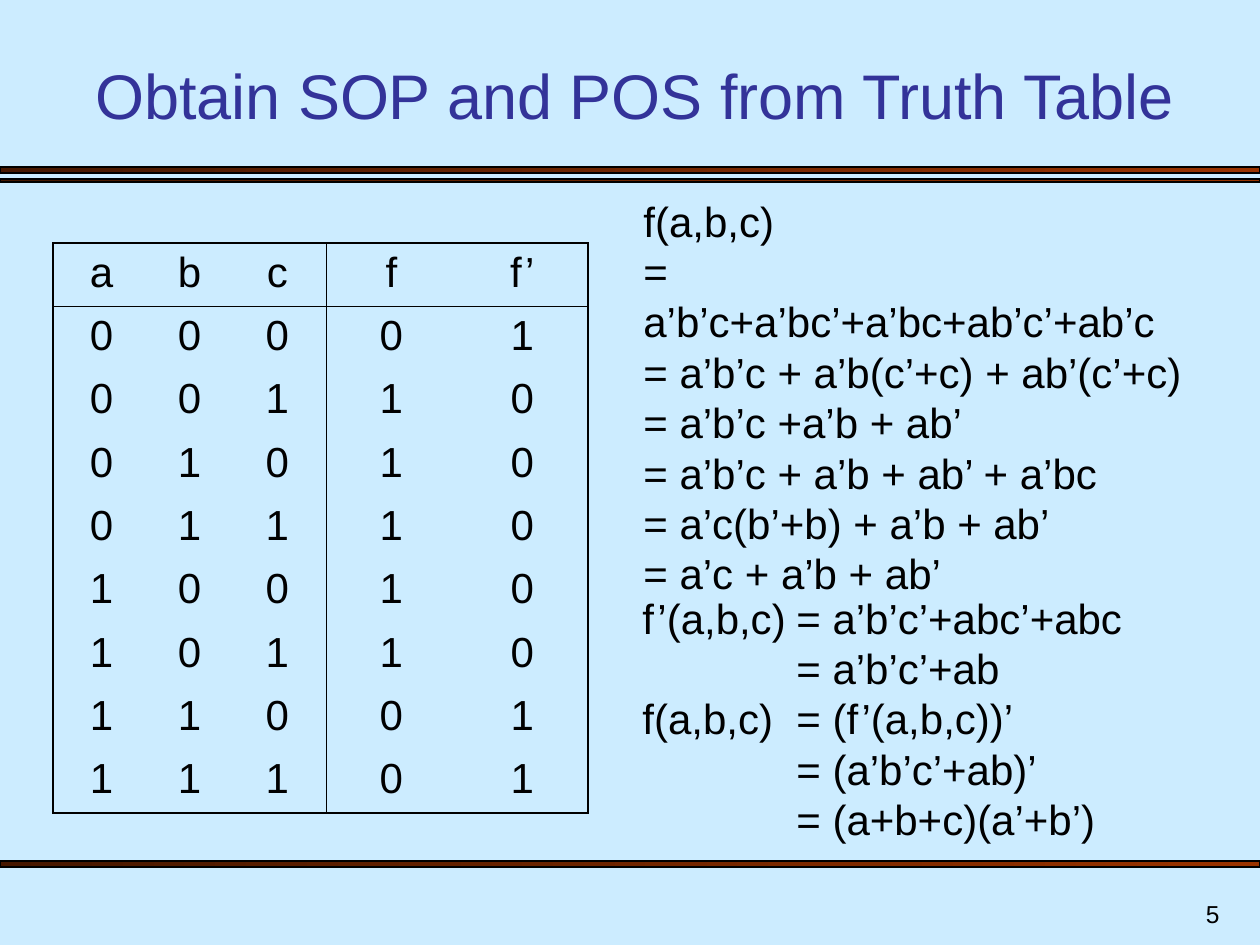
from lxml import etree
from pptx import Presentation
from pptx.dml.color import RGBColor
from pptx.enum.shapes import MSO_SHAPE
from pptx.enum.text import MSO_ANCHOR, MSO_AUTO_SIZE, PP_ALIGN
from pptx.oxml.ns import qn
from pptx.util import Pt

PX = 914400 / 126
BLACK, NAVY, SKY = "000000", "333399", "CCECFF"
RUST, DARK_BROWN = "993300", "461700"
LEFT, CENTER, RIGHT = PP_ALIGN.LEFT, PP_ALIGN.CENTER, PP_ALIGN.RIGHT
TOP, BOTTOM = MSO_ANCHOR.TOP, MSO_ANCHOR.BOTTOM
FIXED, GROW = MSO_AUTO_SIZE.NONE, MSO_AUTO_SIZE.SHAPE_TO_FIT_TEXT
NO_GRID_STYLE = "{2D5ABB26-0587-4C30-8999-92F81FD0307C}"
THICK, THIN = Pt(1.08), Pt(0.45)
TAB_STOP = 154


def px(*lengths):
    """Turn px into EMU."""
    return [round(length * PX) for length in lengths]


def write(paragraph, text, size=24, color=BLACK, align=LEFT):
    """Fill a paragraph; "|" separates runs, and a run of one space is narrow."""
    paragraph.alignment = align
    for piece in text.split("|"):
        run = paragraph.add_run()
        run.text = piece
        font_format = {"name": "Arial", "size": Pt(7 if piece == " " else size)}
        for name, value in font_format.items():
            setattr(run.font, name, value)
        run.font.color.rgb = RGBColor.from_string(color)


presentation = Presentation()
presentation.slide_width, presentation.slide_height = px(1260, 945)
slide = presentation.slides.add_slide(presentation.slide_layouts[5])
slide.background.fill.solid()
slide.background.fill.fore_color.rgb = RGBColor.from_string(SKY)

# Rules across the slide
for top, height in [(167, 6), (179, 3), (861, 6)]:
    rule = slide.shapes.add_shape(MSO_SHAPE.RECTANGLE, *px(0, top, 1260, height))
    rule.shadow.inherit = False
    rule.fill.gradient()
    rule.fill.gradient_angle = 180
    for stop, color in zip(rule.fill.gradient_stops, (RUST, DARK_BROWN)):
        stop.color.rgb = RGBColor.from_string(color)
    rule.line.color.rgb = RGBColor.from_string(BLACK)
    rule.line.width = Pt(0.75)

# Title
title = slide.shapes.title
title.left, title.top, title.width, title.height = px(73, 53, 1124, 85)
title.text_frame.auto_size = FIXED
title.text_frame.vertical_anchor = BOTTOM
write(title.text_frame.paragraphs[0], "Obtain SOP and POS from Truth Table",
      36, NAVY, CENTER)

# Truth table: the inputs count up in binary
column_widths = [97, 79, 97, 131, 131]
outputs = "01111100"
rows = [["a", "b", "c", "f", "f| |’"]]
for number, output in enumerate(outputs):
    rows.append([*f"{number:03b}", output, str(1 - int(output))])
last_row, last_column = len(rows) - 1, len(column_widths) - 1

frame = slide.shapes.add_table(len(rows), len(column_widths),
                               *px(53, 243, sum(column_widths), 570))
table = frame.table
table.first_row = table.horz_banding = False
table._tbl.tblPr.find(qn("a:tableStyleId")).text = NO_GRID_STYLE
for column, width in zip(table.columns, px(*column_widths)):
    column.width = width

for r, row in enumerate(rows):
    for c, text in enumerate(row):
        cell = table.cell(r, c)
        paragraph = cell.text_frame.paragraphs[0]
        paragraph.space_before = Pt(6)
        write(paragraph, text, align=CENTER)
        cell.fill.background()
        borders = {
            "a:lnL": {0: THICK, 3: THIN}.get(c),
            "a:lnR": {2: THIN, last_column: THICK}.get(c),
            "a:lnT": {0: THICK, 1: THIN}.get(r),
            "a:lnB": {0: THIN, last_row: THICK}.get(r),
        }
        for position, (tag, width) in enumerate(borders.items()):
            line = etree.Element(qn(tag), w=str(width or 0))
            if width:
                fill = etree.SubElement(line, qn("a:solidFill"))
                etree.SubElement(fill, qn("a:srgbClr"), val=BLACK)
            else:
                etree.SubElement(line, qn("a:noFill"))
            cell._tc.get_or_add_tcPr().insert(position, line)

# Derivations and page number
sop_lines = [
    "f(a,b,c)",
    "= a’b’c+a’bc’+a’bc+ab’c’+ab’c",
    "= a’b’c + a’b(c’+c) + ab’(c’+c)",
    "= a’b’c +a’b + ab’",
    "= a’b’c + a’b + ab’ + a’bc",
    "= a’c(b’+b) + a’b + ab’",
    "= a’c + a’b + ab’",
]
pos_lines = [
    "f| |’(a,b,c)\t= a’b’c’+abc’+abc",
    "\t= a’b’c’+ab",
    "f(a,b,c)\t= (f| |’(a,b,c))’",
    "\t= (a’b’c’+ab)’",
    "\t= (a+b+c)(a’+b’)",
]
text_boxes = [
    ((631, 189, 572, 365), sop_lines, 24, LEFT,
     {"word_wrap": False, "auto_size": GROW, "vertical_anchor": TOP}),
    ((630, 586, 547, 265), pos_lines, 24, LEFT,
     {"word_wrap": True, "auto_size": GROW, "vertical_anchor": TOP}),
    ((970, 882, 262, 53), ["5"], 14, RIGHT,
     {"word_wrap": True, "auto_size": FIXED, "vertical_anchor": BOTTOM}),
]
for box, lines, size, align, frame_format in text_boxes:
    text_frame = slide.shapes.add_textbox(*px(*box)).text_frame
    for name, value in frame_format.items():
        setattr(text_frame, name, value)
    for index, text in enumerate(lines):
        paragraph = text_frame.add_paragraph() if index else text_frame.paragraphs[0]
        write(paragraph, text, size, align=align)
        if "\t" in text:
            tabs = etree.SubElement(paragraph._p.get_or_add_pPr(), qn("a:tabLst"))
            etree.SubElement(tabs, qn("a:tab"), pos=str(px(TAB_STOP)[0]), algn="l")

presentation.save("out.pptx")
